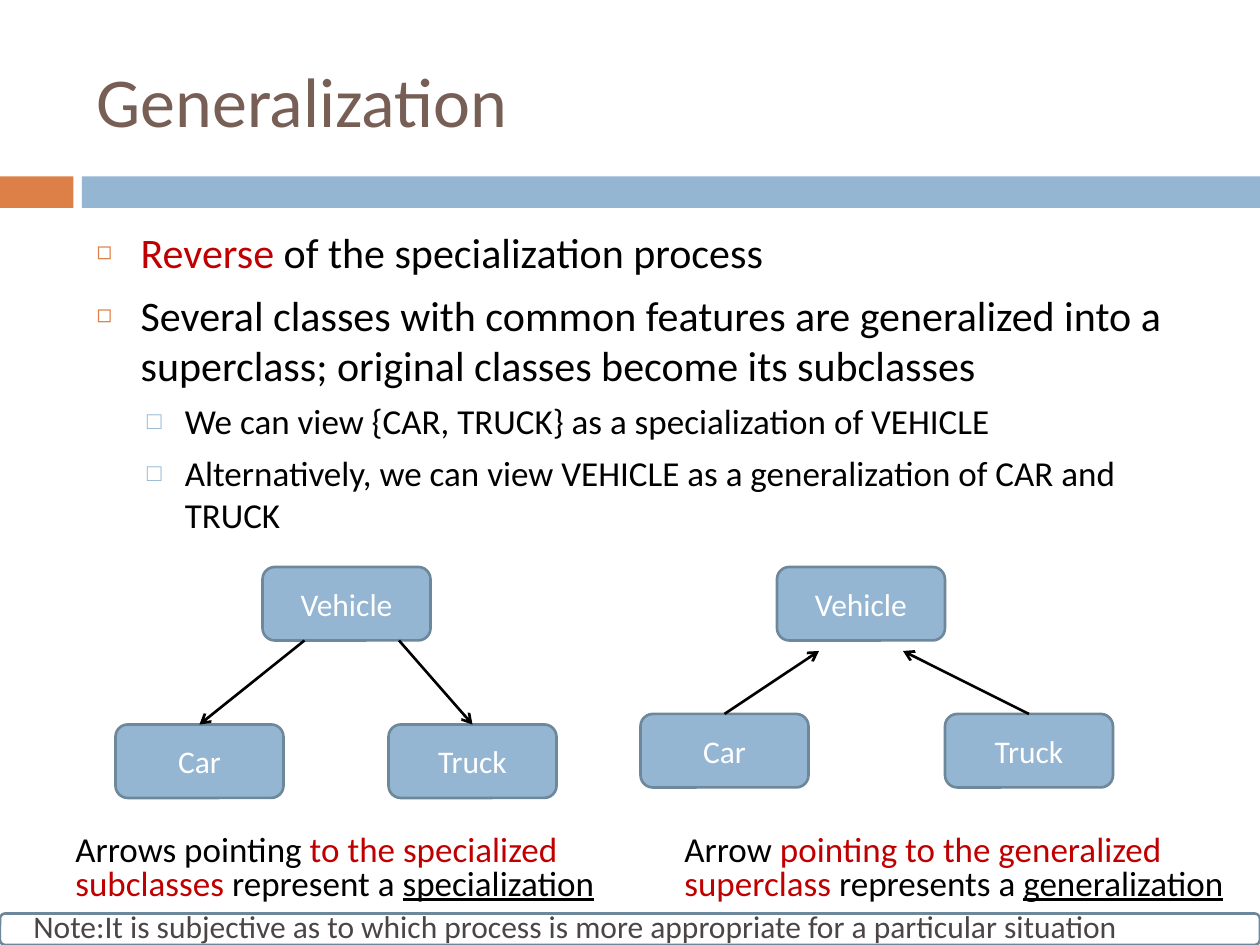
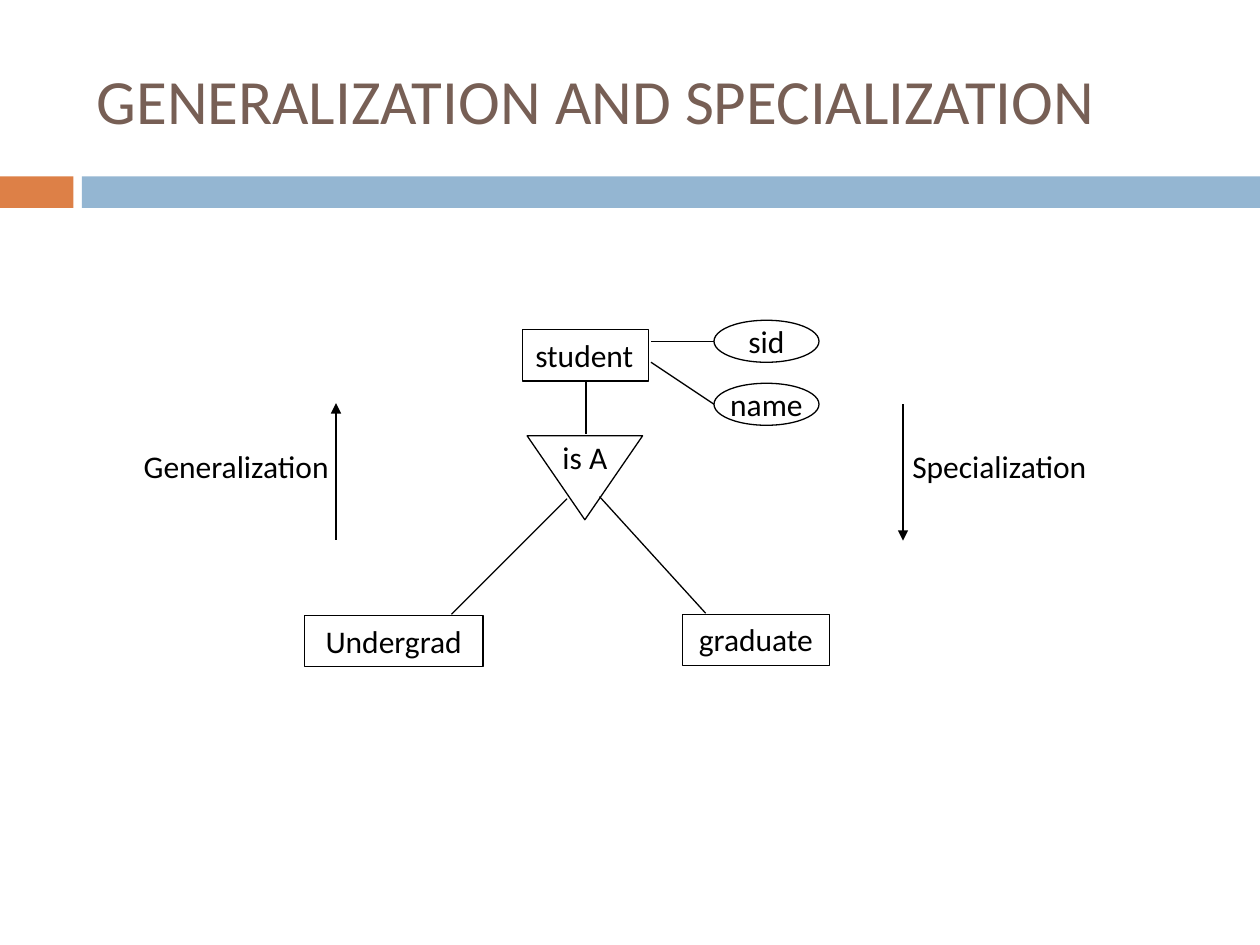
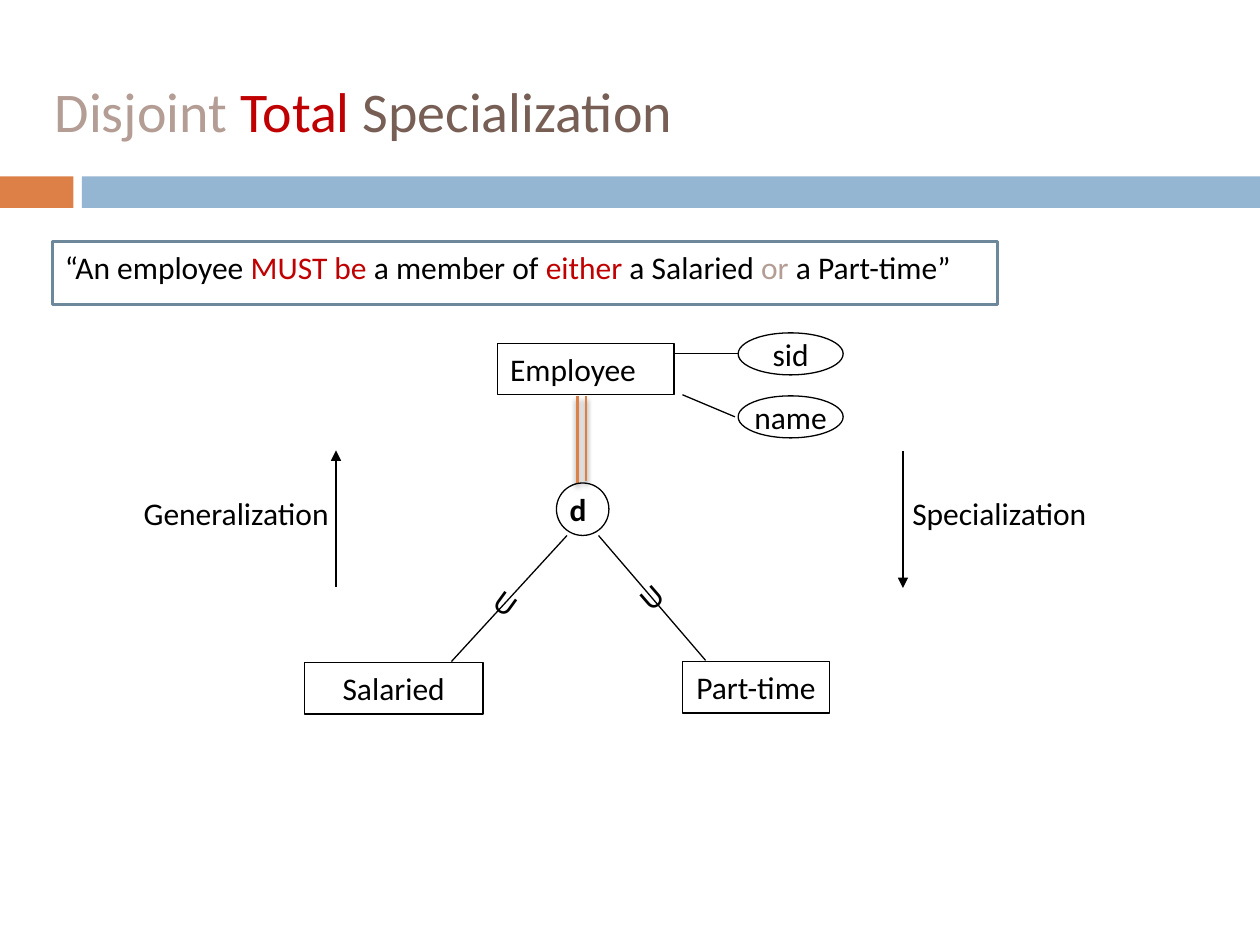
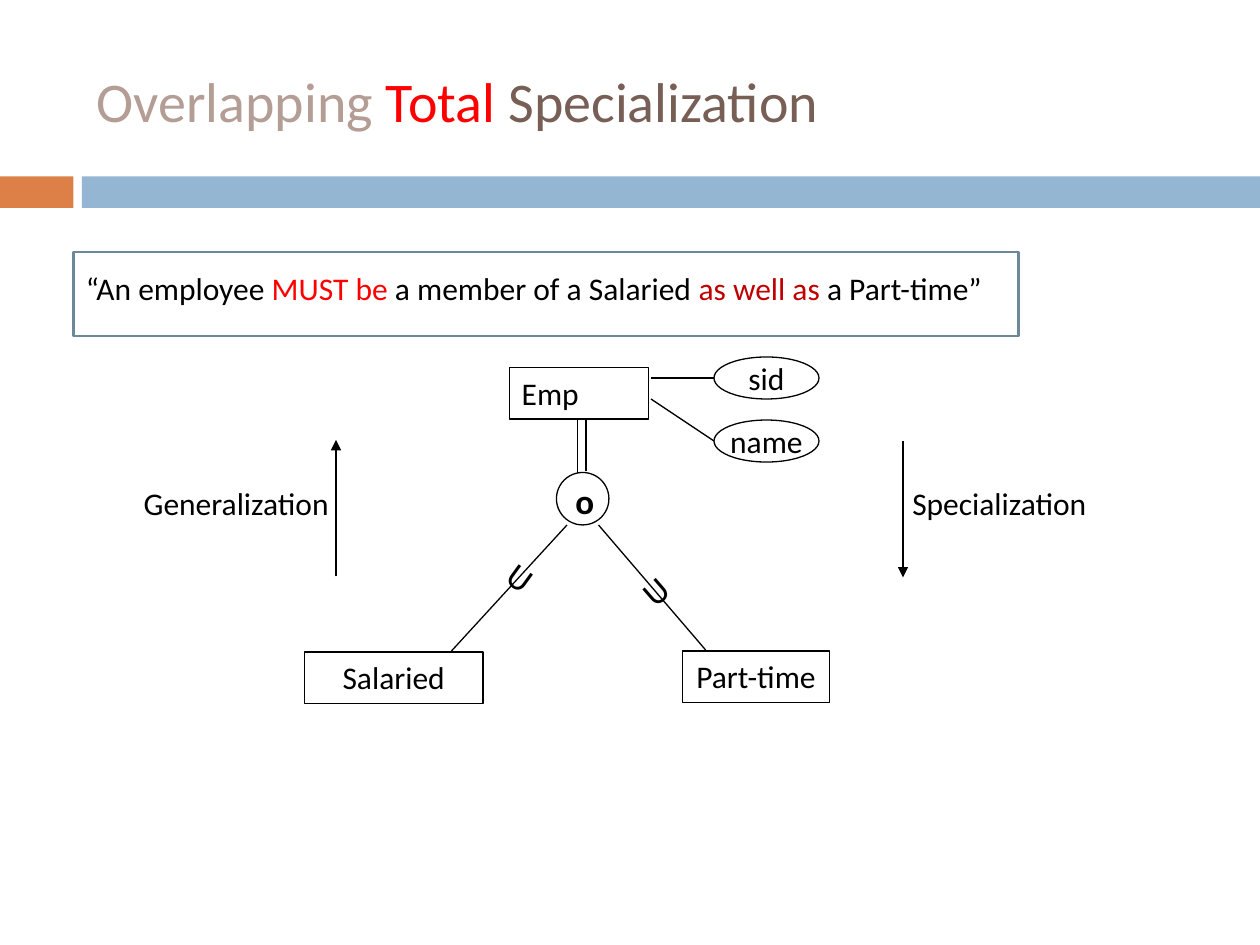
from dataclasses import dataclass
from typing import Any, NamedTuple, Optional

from lxml.etree import SubElement
from pptx import Presentation
from pptx.dml.color import RGBColor
from pptx.enum.shapes import MSO_CONNECTOR, MSO_SHAPE
from pptx.enum.text import MSO_ANCHOR, MSO_AUTO_SIZE, PP_ALIGN
from pptx.oxml.ns import qn
from pptx.slide import Slide
from pptx.util import Inches, Pt

# Grid: 120 columns by 90 rows of a twelfth of an inch
COLS, ROWS = 120, 90
CELL = Inches(10) / COLS

# Shared look
FONT = "Calibri"
BLACK, WHITE, RED, BRIGHT_RED = "000000", "FFFFFF", "C00000", "FF0000"
BROWN, PALE_BROWN, GREY = "775F55", "B39D94", "4C4545"
ORANGE, BLUE, EDGE = "DD8047", "94B6D2", "6D879B"
LEFT, CENTER = PP_ALIGN.LEFT, PP_ALIGN.CENTER


class Box(NamedTuple):
    """Left, top, width and height in grid cells."""
    x: float
    y: float
    w: float
    h: float


class Point(NamedTuple):
    x: float
    y: float


class Run(NamedTuple):
    text: str
    color: str = BLACK
    underline: bool = False
    bold: bool = False


class Bullet(NamedTuple):
    char: str
    color: str
    percent: int
    margin: float
    hanging: float
    size: int
    before: float


class Mark(NamedTuple):
    """A subset sign on a branch."""
    box: Box
    angle: float


@dataclass
class Family:
    """A superclass box, its two subclasses and the arrows between them."""
    vehicle: Point
    car: Point
    truck: Point
    arrows: list[tuple[Point, Point]]
    caption_x: float
    caption: list[Run]


@dataclass
class Hierarchy:
    """An entity with two attributes and two subclasses."""
    root: Box
    root_name: str
    leaves: tuple[str, str]
    attributes: Point
    name_line: tuple[Point, Point]
    leaf_top: float
    branch_starts: tuple[Point, Point]
    stems: list[tuple[Point, Point]]
    stem_color: str = BLACK
    stem_width: float = 0.75
    letter: Optional[str] = None
    letter_size: int = 18
    marks: tuple[Mark, ...] = ()


# Helpers
def cells(n: float) -> int:
    return round(n * CELL)


def rgb(value: str) -> RGBColor:
    return RGBColor.from_string(value)


def apply_format(target: Any, values: dict[str, Any]) -> None:
    for name, value in values.items():
        setattr(target, name, value)


def place(sp: Any, box: Box) -> None:
    apply_format(sp, dict(zip(("left", "top", "width", "height"), map(cells, box))))


def add_runs(p: Any, runs: list[Run], size: float) -> None:
    for run in runs:
        r = p.add_run()
        r.text = run.text
        apply_format(r.font, {"name": FONT, "size": Pt(size), "bold": run.bold,
                              "underline": run.underline})
        r.font.color.rgb = rgb(run.color)


def write(sp: Any, runs: list[Run], size: float, align: Any = LEFT,
          anchor: Any = MSO_ANCHOR.TOP, wrap: bool = True, spacing: float = 1.0) -> None:
    tf = sp.text_frame
    apply_format(tf, {"auto_size": MSO_AUTO_SIZE.NONE, "word_wrap": wrap,
                      "vertical_anchor": anchor})
    p = tf.paragraphs[0]
    apply_format(p, {"alignment": align, "line_spacing": spacing})
    add_runs(p, runs, size)


def add_text(s: Slide, box: Box, runs: list[Run], size: float = 18, **layout: Any) -> Any:
    sp = s.shapes.add_textbox(*map(cells, box))
    write(sp, runs, size, **layout)
    return sp


def add_box(s: Slide, kind: Any, box: Box, fill: Optional[str] = None,
            edge: Optional[str] = BLACK, width: float = 0.75) -> Any:
    sp = s.shapes.add_shape(kind, *map(cells, box))
    sp.shadow.inherit = False
    if fill:
        sp.fill.solid()
        sp.fill.fore_color.rgb = rgb(fill)
    else:
        sp.fill.background()
    if edge:
        sp.line.color.rgb = rgb(edge)
        sp.line.width = Pt(width)
    else:
        sp.line.fill.background()
    return sp


def add_line(s: Slide, start: Point, end: Point, color: str = BLACK, width: float = 0.75,
             arrow: Optional[str] = None, shadow: bool = False) -> None:
    line = s.shapes.add_connector(MSO_CONNECTOR.STRAIGHT, *map(cells, (*start, *end)))
    line.line.color.rgb = rgb(color)
    line.line.width = Pt(width)
    if arrow:
        SubElement(line.line._get_or_add_ln(), qn("a:tailEnd"), type=arrow)
    effects = SubElement(line._element.spPr, qn("a:effectLst"))
    if shadow:
        outer = SubElement(effects, qn("a:outerShdw"), blurRad=str(Pt(3)),
                           dist=str(Pt(2.4)), dir="5400000", rotWithShape="0")
        tone = SubElement(outer, qn("a:srgbClr"), val=BLACK)
        SubElement(tone, qn("a:alpha"), val="45000")


def add_item(tf: Any, first: bool, bullet: Bullet, runs: list[Run]) -> None:
    p = tf.paragraphs[0] if first else tf.add_paragraph()
    apply_format(p, {"level": int(bullet.size < 24), "space_before": Pt(bullet.before),
                     "alignment": LEFT})
    pPr = p._p.get_or_add_pPr()
    pPr.set("marL", str(Inches(bullet.margin)))
    pPr.set("indent", str(-Inches(bullet.hanging)))
    SubElement(SubElement(pPr, qn("a:buClr")), qn("a:srgbClr"), val=bullet.color)
    SubElement(pPr, qn("a:buSzPct"), val=str(bullet.percent * 1000))
    SubElement(pPr, qn("a:buChar"), char=bullet.char)
    add_runs(p, runs, bullet.size)


def add_slide(prs: Any, layout: int, runs: list[Run], size: int,
              box: Box = Box(8, 3, 107, 13)) -> Slide:
    s = prs.slides.add_slide(prs.slide_layouts[layout])
    place(s.shapes.title, box)
    write(s.shapes.title, runs, size, anchor=MSO_ANCHOR.MIDDLE)
    return s


def add_bands(prs: Any, s: Slide) -> None:
    """Draw the two bands and move them to the master, behind all else."""
    tree = prs.slide_master.shapes._spTree
    for x, w, color in ((0, 7, ORANGE), (7.8, COLS - 7.8, BLUE)):
        band = add_box(s, MSO_SHAPE.RECTANGLE, Box(x, 16.8, w, 3), color, None)
        tree.insert(2, band._element)


def draw_family(s: Slide, family: Family) -> None:
    names = ("Vehicle", family.vehicle), ("Truck", family.truck), ("Car", family.car)
    for name, corner in names:
        sp = add_box(s, MSO_SHAPE.ROUNDED_RECTANGLE, Box(*corner, 16, 7), BLUE, EDGE, 1.5)
        write(sp, [Run(name, WHITE)], 18, CENTER, MSO_ANCHOR.MIDDLE)
    for start, end in family.arrows:
        add_line(s, start, end, width=1.5, arrow="arrow")
    add_text(s, Box(family.caption_x, 79, 54, 7.7), family.caption, 20, spacing=0.8)


def draw_hierarchy(s: Slide, h: Hierarchy) -> None:
    # Entity and attributes
    root = add_box(s, MSO_SHAPE.RECTANGLE, h.root)
    write(root, [Run(h.root_name)], 18)
    x, y = h.attributes
    for i, name in enumerate(("sid", "name")):
        oval = add_box(s, MSO_SHAPE.OVAL, Box(x, y + 6 * i, 10, 4))
        write(oval, [Run(name)], 18, CENTER, MSO_ANCHOR.MIDDLE, wrap=False)
    add_line(s, Point(x, y + 2), Point(x - 6, y + 2))
    add_line(s, *h.name_line)

    # Subclasses and branches
    top = h.leaf_top
    leaf_boxes = Box(29, top + 0.1, 17, 4.9), Box(65, top, 14, 4.9)
    ends = Point(43, top), Point(67.2, top - 0.1)
    for name, box, start, end in zip(h.leaves, leaf_boxes, h.branch_starts, ends):
        write(add_box(s, MSO_SHAPE.RECTANGLE, box), [Run(name)], 18, CENTER)
        add_line(s, start, end)

    # Direction arrows
    high, low = top - 20, top - 7
    add_line(s, Point(86, high), Point(86, low), arrow="triangle")
    add_line(s, Point(32, low - 0.1), Point(32, high - 0.1), arrow="triangle")
    for name, left in (("Specialization", 85.7), ("Generalization", 12.5)):
        add_text(s, Box(left, top - 16.5, 21, 4.8), [Run(name)])

    # Stem, circle and subset signs
    for start, end in h.stems:
        add_line(s, start, end, h.stem_color, h.stem_width, shadow=h.stem_color != BLACK)
    if h.letter:
        add_box(s, MSO_SHAPE.OVAL, Box(53, top - 17, 5, 5))
        width = 4.1 if h.letter == "d" else 5.4
        add_text(s, Box(53, top - 16.9, width, 4.9), [Run(h.letter, bold=True)],
                 h.letter_size, align=CENTER, wrap=False)
    for mark in h.marks:
        add_text(s, mark.box, [Run("U")], h.letter_size).rotation = mark.angle


def draw_quote(s: Slide, text: Box, frame: Box, runs: list[Run]) -> None:
    add_text(s, text, runs)
    add_box(s, MSO_SHAPE.RECTANGLE, frame, None, EDGE, 1.5)


# Slide contents
MAIN = Bullet("◻", ORANGE, 60, 0.35, 0.35, 24, 7)
SUB = Bullet("□", BLUE, 70, 0.7, 0.3, 20, 5.5)
ITEMS = [
    (MAIN, [Run("Reverse ", RED), Run("of the specialization process")]),
    (MAIN, [Run("Several classes with common features are generalized into a "
                "superclass; original classes become its subclasses")]),
    (SUB, [Run("We can view {CAR, TRUCK} as a specialization of VEHICLE")]),
    (SUB, [Run("Alternatively, we can view VEHICLE as a generalization of CAR and TRUCK")]),
]
FAMILIES = [
    Family(Point(25, 54), Point(11, 69), Point(37, 69),
           [(Point(29, 61), Point(19, 69)), (Point(38, 61), Point(45, 69))], 6,
           [Run("Arrows pointing "), Run("to the specialized subclasses ", RED),
            Run("represent a "), Run("specialization", underline=True)]),
    Family(Point(74, 54), Point(61, 68), Point(90, 68),
           [(Point(69, 68), Point(78, 62)), (Point(98, 68), Point(86, 62))], 64,
           [Run("Arrow "), Run("pointing to the generalized superclass", RED),
            Run(" represents a "), Run("generalization", underline=True)]),
]
STUDENT = Hierarchy(
    Box(49.8, 31.4, 12, 4.9), "student", ("Undergrad", "graduate"), Point(68, 30.5),
    (Point(62, 34.5), Point(68, 38.5)), 58.5, (Point(54, 47.5), Point(57.1, 47.3)),
    [(Point(55.8, 41.3), Point(55.8, 36.4))])
DISJOINT = Hierarchy(
    Box(47.4, 32.7, 16.8, 4.9), "Employee", ("Salaried", "Part-time"), Point(70.3, 31.7),
    (Point(65, 37.6), Point(70, 39.7)), 63, (Point(54, 51), Point(57, 51)),
    [(Point(55.8, 45.8), Point(55.8, 37.7)), (Point(55, 46), Point(55, 37.7))],
    ORANGE, 1.5, "d", 18,
    (Mark(Box(45.8, 55.8, 7.2, 4.8), 36), Mark(Box(60.1, 53.9, 5.3, 6), 319.1)))
OVERLAPPING = Hierarchy(
    Box(48.5, 35, 13.3, 4.9), "Emp", ("Salaried", "Part-time"), Point(68, 34),
    (Point(62, 38), Point(68, 42)), 62, (Point(54, 50), Point(57, 50)),
    [(Point(55.8, 44.9), Point(55.8, 39.9)), (Point(55, 45), Point(55, 40))],
    letter="o", letter_size=20,
    marks=(Mark(Box(47.2, 52.7, 5.8, 5.3), 36), Mark(Box(59.9, 53, 6.5, 5.3), 319.1)))


def generalization(prs: Any) -> None:
    s = add_slide(prs, 1, [Run("Generalization", BROWN)], 40)
    add_bands(prs, s)
    body = s.placeholders[1]
    place(body, Box(8, 21, 107, 56))
    body.text_frame.auto_size = MSO_AUTO_SIZE.NONE
    for i, (bullet, runs) in enumerate(ITEMS):
        add_item(body.text_frame, i == 0, bullet, runs)
    for family in FAMILIES:
        draw_family(s, family)
    add_text(s, Box(2, 86.5, 116, 4.2),
             [Run("Note:It is subjective as to which process is more appropriate "
                  "for a particular situation", GREY)], spacing=0.8)
    add_box(s, MSO_SHAPE.ROUNDED_RECTANGLE, Box(0, ROWS - 3, COLS, 3), None, EDGE, 1.5)


def student_hierarchy(prs: Any) -> None:
    s = add_slide(prs, 5, [Run("GENERALIZATION AND SPECIALIZATION", BROWN)], 36)
    draw_hierarchy(s, STUDENT)
    is_a = add_box(s, MSO_SHAPE.ISOSCELES_TRIANGLE, Box(50.2, 41.5, 11, 8))
    is_a.rotation = 180
    write(is_a, [Run("is A")], 18, CENTER, MSO_ANCHOR.MIDDLE, wrap=False)
    is_a.text_frame._txBody.bodyPr.set("rot", "10800000")


def disjoint_total(prs: Any) -> None:
    s = add_slide(prs, 5, [Run("Disjoint", PALE_BROWN), Run(" Total ", RED),
                           Run("Specialization", BROWN)], 32, Box(4, 3, 102, 15))
    draw_hierarchy(s, DISJOINT)
    draw_quote(s, Box(5, 23, 109, 4.8), Box(5, 23, 90, 6),
               [Run("“An employee "), Run("MUST be ", RED), Run("a member of "),
                Run("either", RED), Run(" a Salaried "), Run("or ", PALE_BROWN),
                Run("a Part-time”")])


def overlapping_total(prs: Any) -> None:
    s = add_slide(prs, 5, [Run("Overlapping ", PALE_BROWN), Run("Total", BRIGHT_RED),
                           Run(" Specialization", BROWN)], 32)
    draw_hierarchy(s, OVERLAPPING)
    draw_quote(s, Box(7, 25, 99, 4.8), Box(7, 24, 90, 8),
               [Run("“An employee "), Run("MUST be ", BRIGHT_RED),
                Run("a member of a Salaried "), Run("as well as ", RED),
                Run("a Part-time”")])


def main() -> None:
    prs = Presentation()
    apply_format(prs, {"slide_width": cells(COLS), "slide_height": cells(ROWS)})
    for build in (generalization, student_hierarchy, disjoint_total, overlapping_total):
        build(prs)
    prs.save("out.pptx")


if __name__ == "__main__":
    main()
